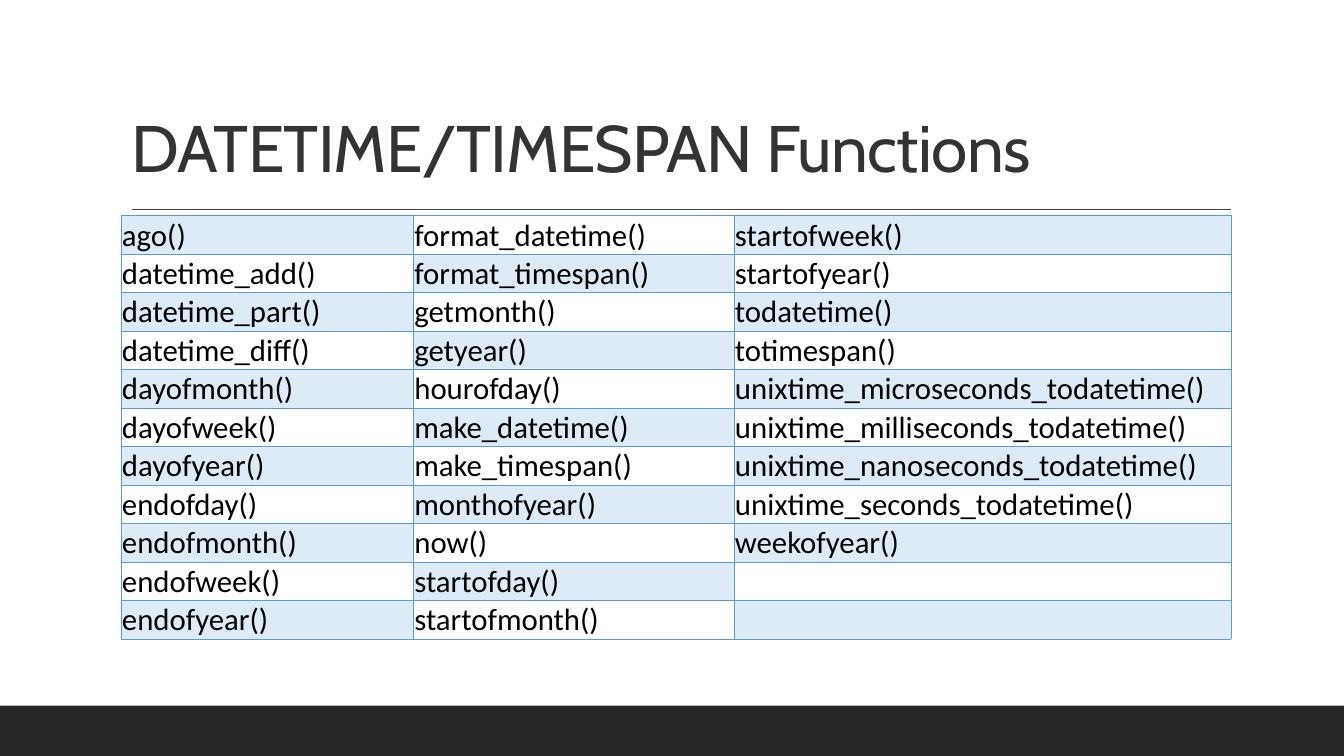
"""Build the slide listing datetime and timespan functions."""
from lxml import etree
from pptx import Presentation
from pptx.dml.color import RGBColor
from pptx.enum import shapes, text
from pptx.oxml import ns
from pptx.util import Inches, Pt

TITLE = "DATETIME/TIMESPAN Functions"
COLUMNS = [
    (2.9, ["ago()", "datetime_add()", "datetime_part()", "datetime_diff()",
           "dayofmonth()", "dayofweek()", "dayofyear()", "endofday()",
           "endofmonth()", "endofweek()", "endofyear()"]),
    (3.18, ["format_datetime()", "format_timespan()", "getmonth()", "getyear()",
            "hourofday()", "make_datetime()", "make_timespan()",
            "monthofyear()", "now()", "startofday()", "startofmonth()"]),
    (4.93, ["startofweek()", "startofyear()", "todatetime()", "totimespan()",
            "unixtime_microseconds_todatetime()",
            "unixtime_milliseconds_todatetime()",
            "unixtime_nanoseconds_todatetime()",
            "unixtime_seconds_todatetime()", "weekofyear()", "", ""]),
]
ROW_HEIGHT = 0.37
BORDER = "5B9BD5"


def color(value):
    return RGBColor.from_string(value)


def style_run(r, name, size, value):
    r.font.name = name
    r.font.size = Pt(size)
    r.font.color.rgb = color(value)


def add_borders(cell):
    tcPr = cell._tc.get_or_add_tcPr()
    for side in ("a:lnL", "a:lnR", "a:lnT", "a:lnB"):
        ln = etree.SubElement(tcPr, ns.qn(side), w=str(Pt(0.5)))
        fill = etree.SubElement(ln, ns.qn("a:solidFill"))
        etree.SubElement(fill, ns.qn("a:srgbClr"), val=BORDER)


def add_frame(s):
    band = s.shapes.add_shape(shapes.MSO_SHAPE.RECTANGLE, 0, Inches(7),
                              Inches(13.33), Inches(0.5))
    band.shadow.inherit = False
    band.fill.solid()
    band.fill.fore_color.rgb = color("262626")
    band.line.fill.background()
    rule = s.shapes.add_connector(shapes.MSO_CONNECTOR.STRAIGHT, Inches(1.31),
                                  Inches(2.08), Inches(12.21), Inches(2.08))
    rule.line.color.rgb = color("404040")
    rule.line.width = Pt(1)
    etree.SubElement(rule._element.spPr, ns.qn("a:effectLst"))


def add_title(s):
    sp = s.shapes.title
    sp.left, sp.top, sp.width, sp.height = map(Inches, (1.2, 0.31, 11, 1.59))
    tf = sp.text_frame
    tf.text = TITLE
    tf.word_wrap = True
    tf.auto_size = text.MSO_AUTO_SIZE.NONE
    tf.vertical_anchor = text.MSO_ANCHOR.BOTTOM
    p = tf.paragraphs[0]
    p.alignment = text.PP_ALIGN.LEFT
    p.line_spacing = 0.9
    r = p.runs[0]
    style_run(r, "Cabin", 47, "333333")
    r.font._element.set("spc", "-50")


def style_cell(cell, shaded):
    cell.margin_left = cell.margin_right = cell.margin_top = Inches(0.01)
    cell.margin_bottom = 0
    cell.vertical_anchor = text.MSO_ANCHOR.BOTTOM
    for r in cell.text_frame.paragraphs[0].runs:
        style_run(r, "Calibri", 22, "000000")
    add_borders(cell)
    if shaded:
        cell.fill.solid()
        cell.fill.fore_color.rgb = color("DDEBF7")
    else:
        cell.fill.background()


def add_functions(s):
    count = len(COLUMNS[0][1])
    width = sum(w for w, _ in COLUMNS)
    table = s.shapes.add_table(count, len(COLUMNS), Inches(1.2), Inches(2.14),
                               Inches(width), Inches(count * ROW_HEIGHT)).table
    table.first_row = table.horz_banding = False
    for row in table.rows:
        row.height = Inches(ROW_HEIGHT)
    for j, (w, names) in enumerate(COLUMNS):
        table.columns[j].width = Inches(w)
        for i, name in enumerate(names):
            cell = table.cell(i, j)
            if name:
                cell.text_frame.text = name
            style_cell(cell, (i + j) % 2 == 0)


def main():
    prs = Presentation()
    prs.slide_width, prs.slide_height = Inches(13.33), Inches(7.5)
    s = prs.slides.add_slide(prs.slide_layouts[5])
    add_frame(s)
    add_title(s)
    add_functions(s)
    prs.save("out.pptx")


if __name__ == "__main__":
    main()
